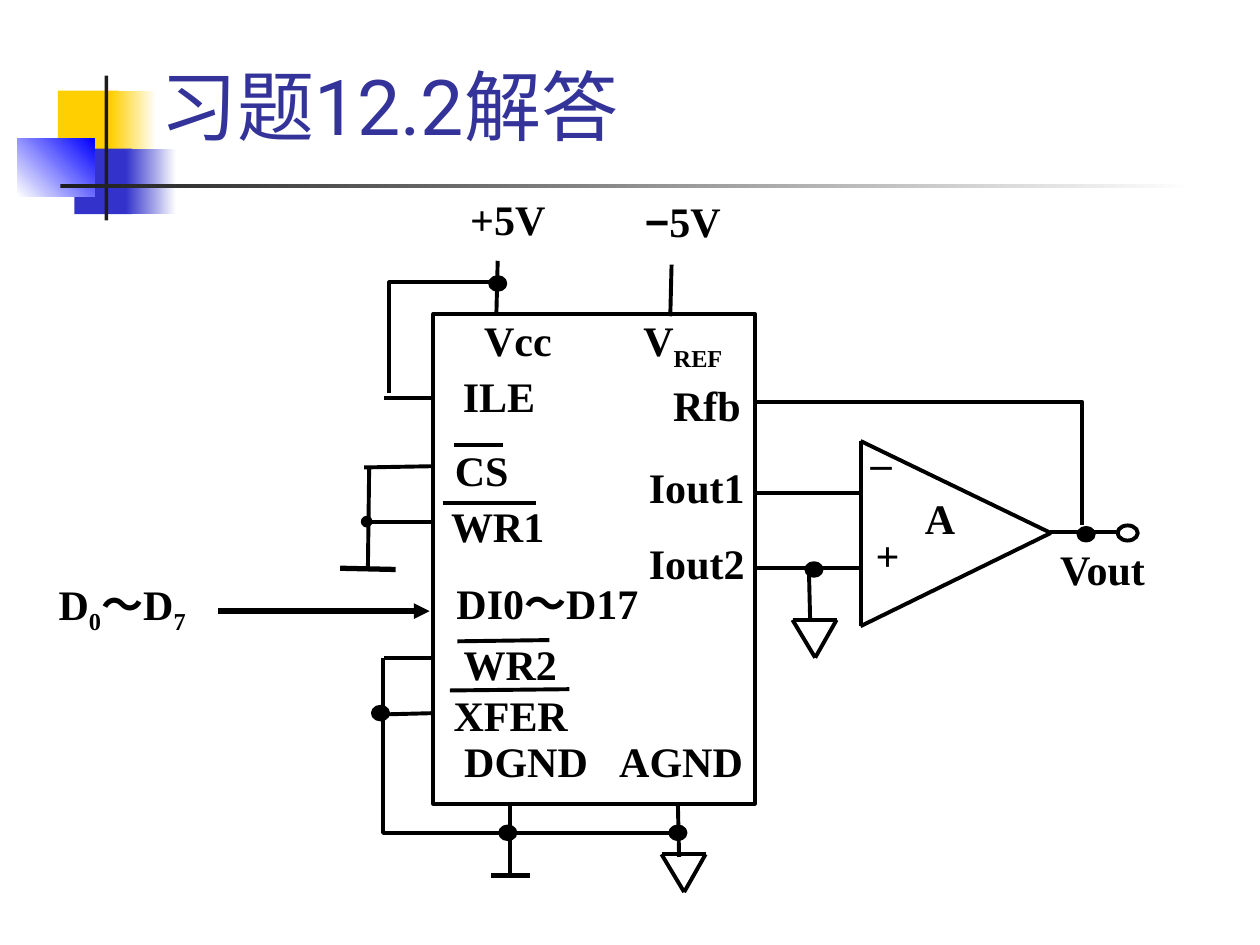
from pptx import Presentation
from pptx.dml.color import RGBColor
from pptx.enum.shapes import MSO_CONNECTOR, MSO_SHAPE
from pptx.enum.text import MSO_ANCHOR, PP_ALIGN
from pptx.oxml.ns import qn
from pptx.util import Pt
from lxml import etree

PX = 9144  # EMU per px, 100 px to the inch
RECT, OVAL = MSO_SHAPE.RECTANGLE, MSO_SHAPE.OVAL
STRAIGHT = MSO_CONNECTOR.STRAIGHT
LEFT, CENTER, JUSTIFY = PP_ALIGN.LEFT, PP_ALIGN.CENTER, PP_ALIGN.JUSTIFY
THEME = {
    "ink": "000000", "title": "333399", "yellow": "FFCF01", "indigo": "3333CC",
    "blue": "0000FF", "rule": "1C1C1C", "white": "FFFFFF",
    "title_size": 44, "label_size": 24, "wire": 2.25, "heavy": 3,
    "title_font": "Roboto", "label_font": "Times New Roman", "sign_font": "Arial",
}

# Content: the title and its ornament (box, colours from start to end, angle)
TITLE = ("习题12.2解答", (117, 33, 638, 92))
ORNAMENT = [
    ((46, 72, 48, 52), ["yellow"], 0),
    ((88, 72, 36, 52), ["yellow", "white"], 0),
    ((59, 118, 46, 52), ["indigo"], 0),
    ((100, 118, 40, 52), ["indigo", "white"], 0),
    ((14, 110, 61, 46), ["white", "blue"], 45),
    ((83, 60, 3, 115), ["rule"], 0),
    ((48, 146, 900, 3), ["rule", "white"], 0),
]

# Labels: box, alignment, lines of (indent, spans); a span is (text, style)
def line(text, indent=0):
    return indent, [(text, "")]


SPACE = 8
LABELS = [
    ((349, 396, 120, 66), LEFT, [line("WR1", SPACE)]),
    ((352, 352, 83, 50), LEFT, [line("CS", SPACE)]),
    ((486, 154, 112, 66), CENTER, [(0, [("−", "sign"), ("5V", "")])]),
    ((347, 153, 112, 66), CENTER, [line("+5V")]),
    ((505, 300, 112, 66), CENTER, [line("Rfb")]),
    ((491, 426, 124, 70), CENTER, [line("Iout2")]),
    ((491, 365, 124, 70), CENTER, [line("Iout1")]),
    ((359, 506, 120, 93), LEFT, [line("WR2", SPACE), line("XFER")]),
    ((344, 583, 147, 66), CENTER, [line("DGND")]),
    ((467, 583, 147, 66), CENTER, [line("AGND")]),
    ((16, 458, 162, 66), CENTER,
     [(0, [("D", ""), ("0", "sub"), ("～D", ""), ("7", "sub")])]),
    ((332, 457, 205, 66), CENTER, [line("DI0～D17")]),
    ((355, 249, 112, 53), CENTER, [line("Vcc")]),
    ((340, 293, 112, 66), CENTER, [line("ILE")]),
    ((486, 249, 112, 66), CENTER, [(0, [("V", ""), ("REF", "sub")])]),
    ((813, 430, 124, 69), CENTER, [line("Vout")]),
    ((694, 419, 62, 96), JUSTIFY, [line("+")]),
    ((690, 334, 62, 96), JUSTIFY, [line("_")]),
    ((690, 390, 112, 66), CENTER, [line("A")]),
]

# Circuit: straight wires, bent wires, closed triangles, junctions
CHIP = (344, 249, 255, 389)
TERMINAL = (887, 417, 16, 12)
WIRES = [
    (405, 695, 405, 637), (344, 370, 289, 371), (598, 451, 683, 451),
    (598, 391, 683, 391), (642, 451, 643, 493), (833, 422, 889, 422),
    (538, 638, 539, 680), (532, 251, 533, 210), (394, 248, 395, 207),
    (344, 316, 305, 316), (344, 522, 305, 522), (344, 566, 305, 567),
    (292, 452, 293, 371),
]
OVERBARS = [(399, 353, 360, 353), (425, 399, 352, 399),
            (436, 508, 363, 509), (452, 547, 357, 548)]
EARTH_BARS = [(390, 695, 421, 695), (270, 451, 314, 452)]
DATA_BUS = (173, 485, 341, 485)
WR1_WIRE = (291, 414, 345, 414)
BENT_WIRES = [
    [(859, 417), (859, 319), (598, 319)],
    [(309, 312), (309, 224), (397, 224)],
    [(304, 522), (304, 661), (540, 661)],
]
AMPLIFIER = [(683, 350), (834, 423), (683, 497)]
GROUNDS = [(629, 492), (525, 678)]  # top left corners
JUNCTIONS = [(640, 447), (856, 419), (389, 220), (296, 561), (397, 656), (532, 656)]


def color(name):
    return RGBColor.from_string(THEME[name])


def emu(values):
    return [value * PX for value in values]


def ink_line(shape, width):
    shape.line.color.rgb = color("ink")
    shape.line.width = Pt(THEME[width])


def add_wire(page, ends, width="wire", head=None, tail=None):
    wire = page.shapes.add_connector(STRAIGHT, *emu(ends))
    ink_line(wire, width)
    for tag, kind in (("a:headEnd", head), ("a:tailEnd", tail)):
        if kind:
            etree.SubElement(wire.line._get_or_add_ln(), qn(tag), type=kind)
    etree.SubElement(wire._element.spPr, qn("a:effectLst"))


def add_outline(page, kind, box, filled=False):
    shape = page.shapes.add_shape(kind, *emu(box))
    shape.shadow.inherit = False
    if filled:
        shape.fill.solid()
        shape.fill.fore_color.rgb = color("ink")
    else:
        shape.fill.background()
    ink_line(shape, "wire")


def add_bent_wire(page, points):
    (left, top), *rest = [emu(point) for point in points]
    builder = page.shapes.build_freeform(left, top)
    builder.add_line_segments(rest, close=False)
    shape = builder.convert_to_shape()
    shape.shadow.inherit = False
    shape.fill.background()
    ink_line(shape, "wire")


def add_triangle(page, corners):
    for start, end in zip(corners, corners[1:] + corners[:1]):
        add_wire(page, start + end)


def add_ornament(page, box, names, angle):
    shape = page.shapes.add_shape(RECT, *emu(box))
    shape.shadow.inherit = False
    shape.line.fill.background()
    if len(names) == 1:
        shape.fill.solid()
        shape.fill.fore_color.rgb = color(names[0])
        return
    shape.fill.gradient()
    shape.fill.gradient_angle = angle
    for stop, name in zip(shape.fill.gradient_stops, names):
        stop.color.rgb = color(name)


def add_label(page, box, align, lines):
    frame = page.shapes.add_textbox(*emu(box)).text_frame
    frame.word_wrap = True
    frame.margin_left = frame.margin_right = frame.margin_top = frame.margin_bottom = PX
    for number, (indent, spans) in enumerate(lines):
        para = frame.add_paragraph() if number else frame.paragraphs[0]
        para.alignment = align
        if indent:
            para._p.get_or_add_pPr().set("marL", str(indent * PX))
        para.font.size, para.font.bold = Pt(THEME["label_size"]), True
        para.font.color.rgb = color("ink")
        for text, style in spans:
            span = para.add_run()
            span.text = text
            span.font.name = THEME["sign_font" if style == "sign" else "label_font"]
            if style == "sub":
                span.font._element.set("baseline", "-25000")


def set_title(page, text, box):
    title = page.shapes.title
    title.left, title.top, title.width, title.height = emu(box)
    title.text_frame.text = text
    title.text_frame.vertical_anchor = MSO_ANCHOR.BOTTOM
    para = title.text_frame.paragraphs[0]
    para.alignment = LEFT
    para.font.name, para.font.size = THEME["title_font"], Pt(THEME["title_size"])
    para.font.color.rgb = color("title")


def main():
    deck = Presentation()
    deck.slide_width, deck.slide_height = emu((1000, 750))
    page = deck.slides.add_slide(deck.slide_layouts[5])
    set_title(page, *TITLE)
    for part in ORNAMENT:
        add_ornament(page, *part)
    for label in LABELS:
        add_label(page, *label)

    # Chip, wires and symbols
    add_outline(page, RECT, CHIP)
    add_outline(page, OVAL, TERMINAL)
    for ends in WIRES + OVERBARS:
        add_wire(page, ends)
    for ends in EARTH_BARS:
        add_wire(page, ends, "heavy")
    add_wire(page, DATA_BUS, "heavy", tail="triangle")
    add_wire(page, WR1_WIRE, head="oval")
    for points in BENT_WIRES:
        add_bent_wire(page, points)
    add_triangle(page, AMPLIFIER)
    for x, y in GROUNDS:
        add_triangle(page, [(x, y), (x + 35, y), (x + 18, y + 30)])
    for x, y in JUNCTIONS:
        add_outline(page, OVAL, (x, y, 12, 10), filled=True)
    deck.save("out.pptx")


if __name__ == "__main__":
    main()
